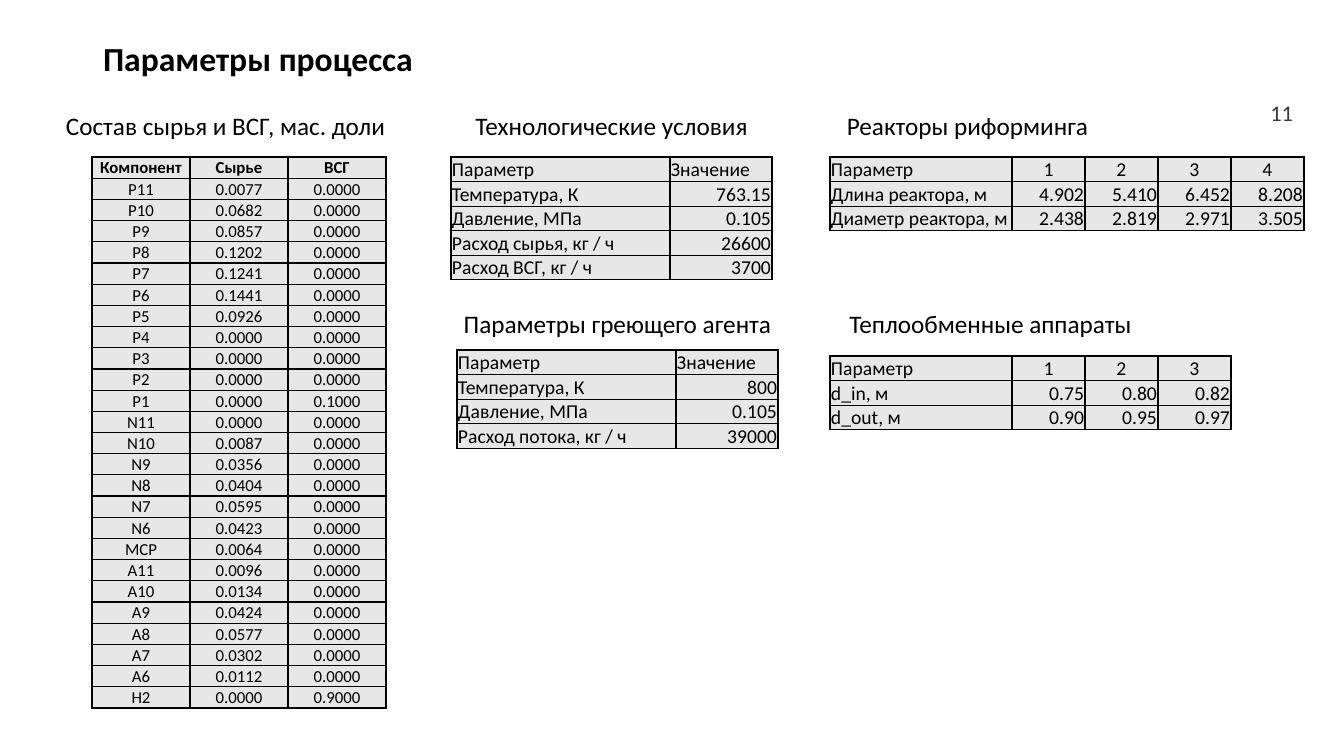
from dataclasses import dataclass

from lxml import etree
from pptx import Presentation
from pptx import util as u
from pptx.dml.color import RGBColor
from pptx.enum import text
from pptx.oxml import ns

EMU_PER_PX = 914400 / 100.8
LEFT, CENTER, RIGHT = text.PP_ALIGN.LEFT, text.PP_ALIGN.CENTER, text.PP_ALIGN.RIGHT


@dataclass(frozen=True)
class Theme:
    font: str = "Calibri"
    ink: str = "000000"
    number: str = "3B3838"
    cell: str = "E7E7E7"
    title_size: int = 24
    heading_size: int = 18
    number_size: int = 16
    body_size: int = 14
    small_size: int = 12


def px(length):
    return u.Emu(round(length * EMU_PER_PX))


def set_all(target, values):
    for name, value in values.items():
        setattr(target, name, value)


class SlideBuilder:
    def __init__(self, slide, theme):
        self.slide = slide
        self.theme = theme

    def put_text(self, frame, words, size, align=LEFT, bold=False, color=None):
        para = frame.paragraphs[0]
        para.alignment = align
        span = para.add_run()
        span.text = words
        set_all(span.font, {"name": self.theme.font, "size": u.Pt(size), "bold": bold})
        span.font.color.rgb = RGBColor.from_string(color or self.theme.ink)
        return para

    def title(self, words, left, top, width, height):
        box = self.slide.shapes.title
        set_all(box, {"left": px(left), "top": px(top),
                      "width": px(width), "height": px(height)})
        box.text_frame.vertical_anchor = text.MSO_ANCHOR.MIDDLE
        para = self.put_text(box.text_frame, words, self.theme.title_size, bold=True)
        para.line_spacing = 0.9

    def label(self, words, left, top, width, size, align=CENTER, wrap=True,
              color=None, anchor=text.MSO_ANCHOR.TOP):
        box = self.slide.shapes.add_textbox(px(left), px(top), px(width), px(40))
        set_all(box.text_frame, {"word_wrap": wrap, "vertical_anchor": anchor,
                                 "auto_size": text.MSO_AUTO_SIZE.SHAPE_TO_FIT_TEXT})
        self.put_text(box.text_frame, words, size, align, color=color)

    def border(self, cell):
        """Outline all four sides of a cell; must run before its fill is set."""
        props = cell._tc.get_or_add_tcPr()
        for side in ("a:lnL", "a:lnR", "a:lnT", "a:lnB"):
            line = etree.SubElement(props, ns.qn(side), w=str(u.Pt(1)))
            fill = etree.SubElement(line, ns.qn("a:solidFill"))
            etree.SubElement(fill, ns.qn("a:srgbClr"), val=self.theme.ink)

    def table(self, rows, left, top, widths, size, head_aligns, body_aligns,
              bold_head=False):
        row_height = 20
        table = self.slide.shapes.add_table(
            len(rows), len(widths), px(left), px(top),
            px(sum(widths)), px(row_height * len(rows))).table
        set_all(table, {"first_row": False, "horz_banding": False})
        for column, width in zip(table.columns, widths):
            column.width = px(width)
        for r, values in enumerate(rows):
            table.rows[r].height = px(row_height)
            aligns = body_aligns if r else head_aligns
            for c, (value, align) in enumerate(zip(values, aligns)):
                cell = table.cell(r, c)
                set_all(cell, {"margin_left": px(1), "margin_right": px(1),
                               "margin_top": px(1), "margin_bottom": 0,
                               "vertical_anchor": text.MSO_ANCHOR.BOTTOM})
                self.border(cell)
                cell.fill.solid()
                cell.fill.fore_color.rgb = RGBColor.from_string(self.theme.cell)
                self.put_text(cell.text_frame, value, size, align, bold_head and r == 0)


FEED = {
    "P11": "0.0077", "P10": "0.0682", "P9": "0.0857", "P8": "0.1202", "P7": "0.1241",
    "P6": "0.1441", "P5": "0.0926", "P4": "0.0000", "P3": "0.0000", "P2": "0.0000",
    "P1": "0.0000", "N11": "0.0000", "N10": "0.0087", "N9": "0.0356", "N8": "0.0404",
    "N7": "0.0595", "N6": "0.0423", "MCP": "0.0064", "A11": "0.0096", "A10": "0.0134",
    "A9": "0.0424", "A8": "0.0577", "A7": "0.0302", "A6": "0.0112", "H2": "0.0000",
}
HYDROGEN_GAS = {"P1": "0.1000", "H2": "0.9000"}
COMPOSITION = [("Компонент", "Сырье", "ВСГ")] + [
    (name, share, HYDROGEN_GAS.get(name, "0.0000")) for name, share in FEED.items()]

CONDITIONS = [
    ("Параметр", "Значение"),
    ("Температура, К", "763.15"),
    ("Давление, МПа", "0.105"),
    ("Расход сырья, кг / ч", "26600"),
    ("Расход ВСГ, кг / ч", "3700"),
]
HEATING_AGENT = [
    ("Параметр", "Значение"),
    ("Температура, К", "800"),
    ("Давление, МПа", "0.105"),
    ("Расход потока, кг / ч", "39000"),
]
REACTORS = [
    ("Параметр", "1", "2", "3", "4"),
    ("Длина реактора, м", "4.902", "5.410", "6.452", "8.208"),
    ("Диаметр реактора, м", "2.438", "2.819", "2.971", "3.505"),
]
EXCHANGERS = [
    ("Параметр", "1", "2", "3"),
    ("d_in, м", "0.75", "0.80", "0.82"),
    ("d_out, м", "0.90", "0.95", "0.97"),
]


def main():
    deck = Presentation()
    set_all(deck, {"slide_width": px(1344), "slide_height": px(756)})
    theme = Theme()
    page = SlideBuilder(deck.slides.add_slide(deck.slide_layouts[5]), theme)

    page.title("Параметры процесса", 93, 17, 1087, 88)
    page.label("11", 1252, 93, 51, theme.number_size, RIGHT,
               color=theme.number, anchor=text.MSO_ANCHOR.MIDDLE)

    page.label("Состав сырья и ВСГ, мас. доли", 56, 105, 344, theme.heading_size,
               LEFT, wrap=False)
    page.table(COMPOSITION, 92, 157, [98] * 3, theme.small_size,
               [CENTER] * 3, [CENTER] * 3, bold_head=True)

    for heading, left, top, width in (
            ("Технологические условия", 451, 105, 321),
            ("Параметры греющего агента", 451, 303, 333),
            ("Реакторы риформинга", 807, 105, 321),
            ("Теплообменные аппараты", 830, 303, 321)):
        page.label(heading, left, top, width, theme.heading_size)

    for rows, left, top in ((CONDITIONS, 451, 157), (HEATING_AGENT, 457, 350)):
        page.table(rows, left, top, [219, 102], theme.body_size,
                   [LEFT, LEFT], [LEFT, RIGHT])

    for rows, top in ((REACTORS, 157), (EXCHANGERS, 356)):
        units = len(rows[0]) - 1
        page.table(rows, 830, top, [182] + [73] * units, theme.body_size,
                   [LEFT] + [CENTER] * units, [LEFT] + [RIGHT] * units)

    deck.save("out.pptx")


if __name__ == "__main__":
    main()
